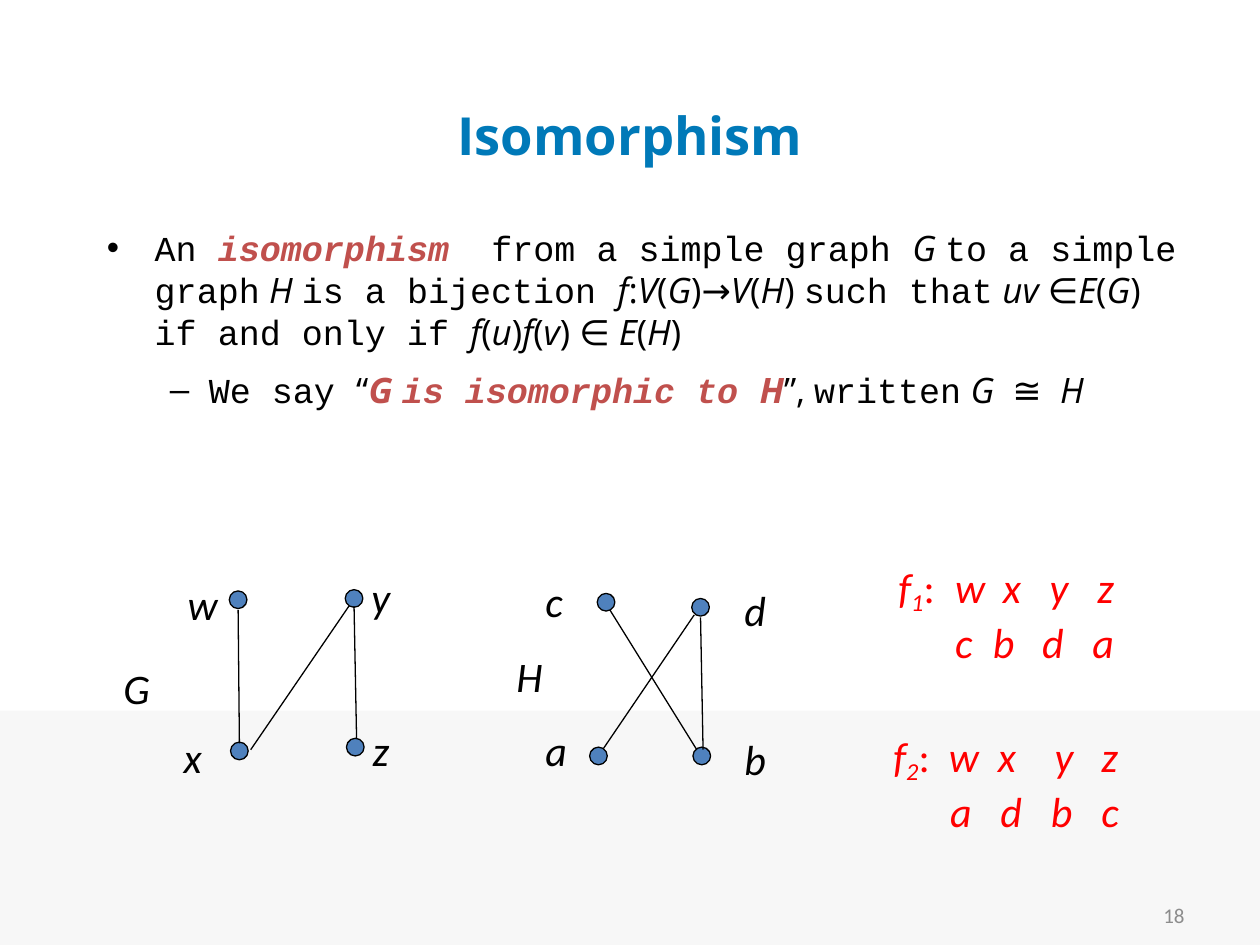
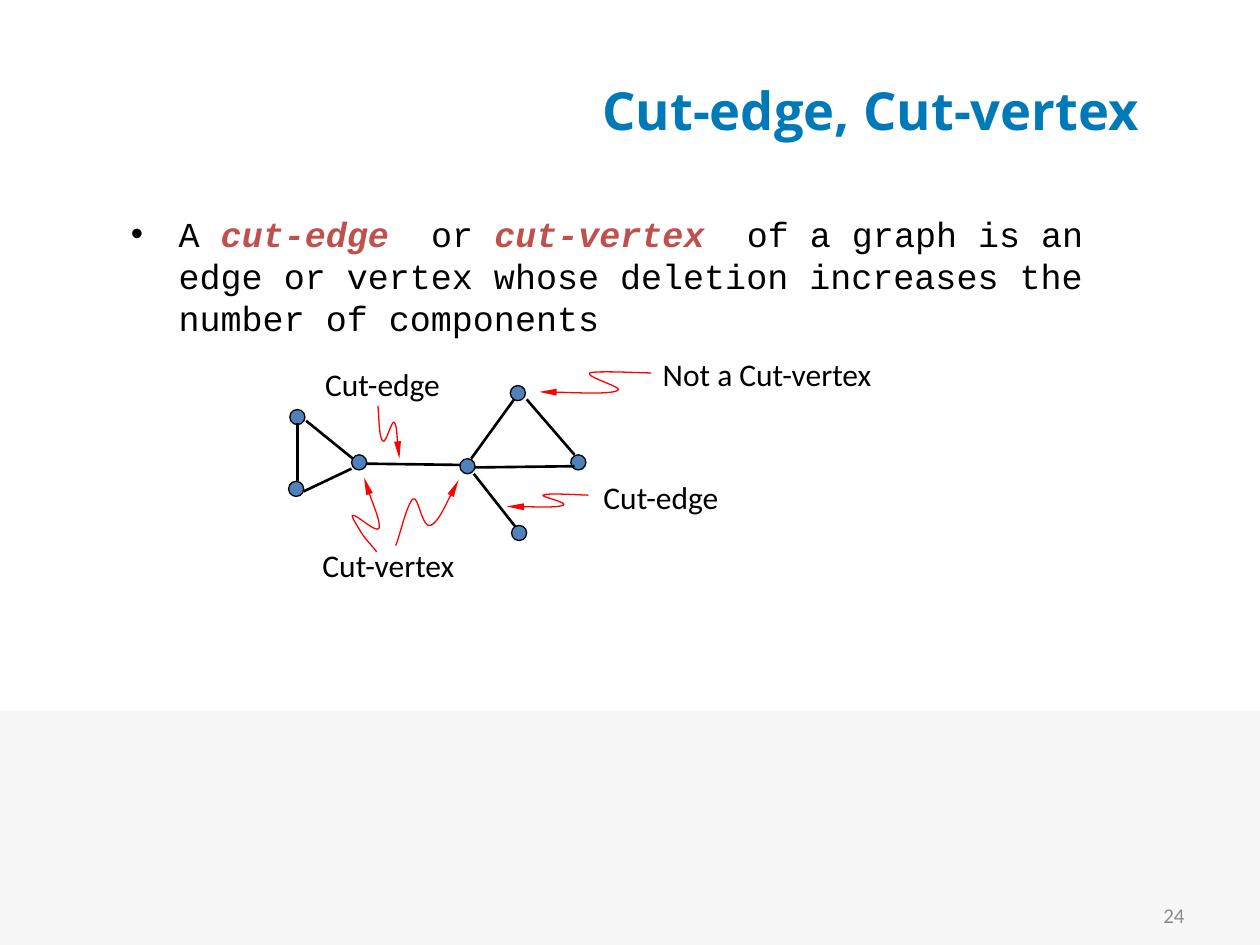
from itertools import groupby
from typing import NamedTuple, Optional

from lxml.etree import SubElement
from pptx import Presentation
from pptx.dml.color import RGBColor
from pptx.enum.shapes import MSO_CONNECTOR as Connector, MSO_SHAPE as Preset
from pptx.enum.text import MSO_ANCHOR as Anchor, PP_ALIGN as Align
from pptx.oxml.ns import qn
from pptx.util import Inches, Pt

# Shared colours and fonts
BLACK = RGBColor(0x00, 0x00, 0x00)
RED = RGBColor(0xFF, 0x00, 0x00)
TERM_RED = RGBColor(0xC0, 0x50, 0x4D)
TITLE_BLUE = RGBColor(0x00, 0x79, 0xB8)
VERTEX_BLUE = RGBColor(0x4F, 0x81, 0xBD)
BAND_GREY = RGBColor(0xF7, 0xF7, 0xF7)
NUMBER_GREY = RGBColor(0x8C, 0x8C, 0x8C)
SANS, MONO, LABEL_FONT, BULLET_FONT = "Open Sans", "Courier New", "Calibri", "Arial"

Point = tuple[float, float]


class Area(NamedTuple):
    left: float
    top: float
    width: float
    height: float

    def lengths(self) -> list:
        return [Inches(value) for value in self]


class Span(NamedTuple):
    text: str
    font: str = MONO
    color: RGBColor = BLACK
    bold: bool = False
    italic: bool = False


class Bullet(NamedTuple):
    spans: list[Span]
    level: int = 0


class BulletStyle(NamedTuple):
    symbol: str
    margin: float
    hanging: float


class Label(NamedTuple):
    text: str
    area: Area


class Edge(NamedTuple):
    start: Point
    end: Point


class Mapping(NamedTuple):
    index: str
    area: Area
    sources: str
    source_tabs: list[float]
    targets: str
    target_tabs: list[float]


BULLET_STYLES = [BulletStyle("•", 0.38, 0.38), BulletStyle("–", 0.81, 0.31)]


def term(text: str, font: str = MONO) -> Span:
    return Span(text, font, TERM_RED, True, True)


def formula(text: str) -> list[Span]:
    """Letters are italic, symbols upright."""
    return [Span("".join(part), SANS, italic=letters)
            for letters, part in groupby(text, str.isalpha)]


def set_font(font, name: str, size: float, color: RGBColor,
             bold: bool = False, italic: bool = False) -> None:
    font.name, font.size, font.bold, font.italic = name, Pt(size), bold, italic
    font.color.rgb = color


def add_text_box(page, area: Area, side: float = 0.1, top: float = 0.05):
    box = page.shapes.add_textbox(*area.lengths())
    frame = box.text_frame
    frame.word_wrap = True
    frame.margin_left = frame.margin_right = Inches(side)
    frame.margin_top = frame.margin_bottom = Inches(top)
    return frame


def add_page(deck, title: str, title_area: Area, align: Align, number: str):
    page = deck.slides.add_slide(deck.slide_layouts[5])
    # Grey band
    band = page.shapes.add_shape(Preset.RECTANGLE, *Area(0, 5.64, 10, 1.86).lengths())
    band.shadow.inherit = False
    band.fill.solid()
    band.fill.fore_color.rgb = BAND_GREY
    band.line.fill.background()
    # Slide number
    frame = add_text_box(page, Area(7.17, 7.06, 2.33, 0.4))
    frame.vertical_anchor = Anchor.MIDDLE
    para = frame.paragraphs[0]
    para.text, para.alignment = number, Align.RIGHT
    set_font(para.font, LABEL_FONT, 12, NUMBER_GREY)
    # Title
    heading = page.shapes.title
    heading.left, heading.top, heading.width, heading.height = title_area.lengths()
    heading.text_frame.vertical_anchor = Anchor.MIDDLE
    para = heading.text_frame.paragraphs[0]
    para.text, para.alignment = title, align
    set_font(para.font, SANS, 30, TITLE_BLUE, bold=True)
    return page


def add_bullets(page, area: Area, bullets: list[Bullet]) -> None:
    frame = add_text_box(page, area)
    for position, bullet in enumerate(bullets):
        para = frame.add_paragraph() if position else frame.paragraphs[0]
        if position:
            para.space_before = Pt(9)
        para.line_spacing = Pt(24)
        para.level = bullet.level
        style = BULLET_STYLES[bullet.level]
        props = para._p.get_or_add_pPr()
        props.set("marL", str(Inches(style.margin)))
        props.set("indent", str(-Inches(style.hanging)))
        SubElement(props, qn("a:buFont"), typeface=BULLET_FONT)
        SubElement(props, qn("a:buChar"), char=style.symbol)
        for span in bullet.spans:
            run = para.add_run()
            run.text = span.text
            set_font(run.font, span.font, 20, span.color, span.bold, span.italic)


def add_label(page, label: Label, size: float, italic: bool, side: float, top: float) -> None:
    para = add_text_box(page, label.area, side, top).paragraphs[0]
    para.text = label.text
    set_font(para.font, LABEL_FONT, size, BLACK, italic=italic)


def add_vertex(page, corner: Point, size: float) -> None:
    dot = page.shapes.add_shape(Preset.OVAL, *Area(*corner, size, size).lengths())
    dot.shadow.inherit = False
    dot.fill.solid()
    dot.fill.fore_color.rgb = VERTEX_BLUE
    dot.line.color.rgb = BLACK
    dot.line.width = Pt(0.75)


def add_edge(page, edge: Edge, width: float) -> None:
    ends = [Inches(value) for value in (*edge.start, *edge.end)]
    line = page.shapes.add_connector(Connector.STRAIGHT, *ends)
    line.line.color.rgb = BLACK
    line.line.width = Pt(width)
    SubElement(line._element.spPr, qn("a:effectLst"))


def add_graph(page, vertices: list[Point], size: float,
              edges: list[Edge], width: float) -> None:
    for corner in vertices:
        add_vertex(page, corner, size)
    for edge in edges:
        add_edge(page, edge, width)


def add_squiggle(page, controls: list[Point]) -> None:
    """Arrow along a chain of cubic curves that share their ends."""
    start, *rest = [(Inches(x), Inches(y)) for x, y in controls]
    builder = page.shapes.build_freeform(*start)
    builder.add_line_segments(rest, close=False)
    arrow = builder.convert_to_shape()
    # Turn every three straight steps into one cubic curve
    outline = next(arrow._element.iter(qn("a:path")))
    steps = outline.findall(qn("a:lnTo"))
    for first in range(0, len(steps), 3):
        curve = SubElement(outline, qn("a:cubicBezTo"))
        for step in steps[first:first + 3]:
            curve.append(step[0])
            outline.remove(step)
    arrow.shadow.inherit = False
    arrow.fill.background()
    arrow.line.color.rgb = RED
    arrow.line.width = Pt(0.75)
    SubElement(arrow.line._get_or_add_ln(), qn("a:tailEnd"), type="triangle", w="sm", len="lg")


def add_mapping(page, mapping: Mapping) -> None:
    frame = add_text_box(page, mapping.area)
    frame.margin_left = Inches(0.17)

    def add_row(para, tabs: list[float], spans: list[tuple[str, Optional[str], bool]]) -> None:
        stops = SubElement(para._p.get_or_add_pPr(), qn("a:tabLst"))
        for tab in tabs:
            SubElement(stops, qn("a:tab"), pos=str(Inches(tab)), algn="l")
        for text, baseline, italic in spans:
            run = para.add_run()
            run.text = text
            run.font.italic = italic
            if baseline:
                run.font._element.set("baseline", baseline)
        set_font(para.font, LABEL_FONT, 24, RED)

    def columns(letters: str) -> str:
        return "".join("\t" + letter for letter in letters)

    add_row(frame.paragraphs[0], mapping.source_tabs,
            [("f", None, True), (mapping.index, "-18000", True), (":", None, False),
             (columns(mapping.sources), None, True)])
    add_row(frame.add_paragraph(), mapping.target_tabs,
            [(columns(mapping.targets), None, True)])


def build_isomorphism(deck) -> None:
    page = add_page(deck, "Isomorphism", Area(0.75, 0.58, 8.5, 0.98), Align.CENTER, "18")
    add_bullets(page, Area(0.75, 1.75, 8.74, 4.91), [
        Bullet([Span("An "), term("isomorphism"), Span("  from a simple graph "),
                *formula("G "), Span("to a simple graph"), *formula(" H "),
                Span("is a bijection "), *formula("f:V(G)→V(H) "), Span("such that"),
                *formula(" uv ∈E(G) "), Span("if and only if "), *formula("f(u)f(v) ∈ E(H)")]),
        Bullet([Span("We say "), Span("“", SANS), term("G ", SANS),
                term("is isomorphic to "), term("H", SANS), Span("”, ", SANS),
                Span("written"), *formula(" G  ≅  H")], level=1)])

    # Graphs G and H
    add_graph(page, [(1.82, 4.69), (1.83, 5.89), (2.74, 4.68), (2.75, 5.86)], 0.14,
              [Edge((2.81, 4.81), (2.83, 5.86)), Edge((1.89, 4.84), (1.9, 5.9)),
               Edge((1.99, 5.95), (2.77, 4.81))], 0.75)
    add_graph(page, [(4.74, 4.71), (5.49, 4.75), (4.68, 5.93), (5.5, 5.93)], 0.14,
              [Edge((5.56, 4.9), (5.58, 5.95)), Edge((4.84, 4.84), (5.53, 5.95)),
               Edge((4.79, 5.94), (5.51, 4.88))], 0.75)
    corners = {"H": (4, 5.11), "G": (0.88, 5.21), "w": (1.39, 4.54), "x": (1.36, 5.76),
               "z": (2.86, 5.7), "y": (2.85, 4.49), "c": (4.23, 4.52), "d": (5.81, 4.59),
               "b": (5.81, 5.77), "a": (4.23, 5.7)}
    for name, corner in corners.items():
        width = 0.68 if name.isupper() else 0.47
        add_label(page, Label(name, Area(*corner, width, 0.51)), 24, True, 0.1, 0.05)

    # The two bijections
    for mapping in (
            Mapping("1", Area(6.96, 4.41, 2.21, 0.91), "wxyz", [0.45, 0.83, 1.2, 1.58],
                    "cbda", [0.45, 0.75, 1.14, 1.54]),
            Mapping("2", Area(6.92, 5.75, 2.35, 0.91), "wxyz", [0.44, 0.83, 1.28, 1.65],
                    "adbc", [0.45, 0.85, 1.25, 1.65])):
        add_mapping(page, mapping)


def build_cuts(deck) -> None:
    page = add_page(deck, "Cut-edge, Cut-vertex ", Area(0.75, 0.33, 8.5, 1.08),
                    Align.RIGHT, "24")
    add_bullets(page, Area(0.94, 1.64, 8.26, 1.91), [
        Bullet([Span("A "), term("cut-edge"), Span("  or "), term("cut-vertex  "),
                Span("of a graph is an edge or vertex whose deletion increases "
                     "the number of components")])])

    # Graph
    add_graph(page, [(2.3, 3.25), (2.29, 3.82), (2.79, 3.61), (3.65, 3.64),
                     (4.05, 3.06), (4.53, 3.61), (4.06, 4.17)], 0.12,
              [Edge((2.36, 3.36), (2.36, 3.82)), Edge((2.43, 3.34), (2.8, 3.64)),
               Edge((2.41, 3.9), (2.79, 3.72)), Edge((2.91, 3.68), (3.65, 3.69)),
               Edge((4.08, 3.17), (3.74, 3.64)), Edge((3.76, 3.76), (4.09, 4.18)),
               Edge((4.18, 3.17), (4.56, 3.61)), Edge((3.77, 3.71), (4.56, 3.7))], 1.5)

    # Callouts and their wavy arrows
    for label in (Label("Not a Cut-vertex", Area(5.15, 2.76, 2.05, 0.41)),
                  Label("Cut-edge", Area(2.47, 2.84, 1.57, 0.41)),
                  Label("Cut-edge", Area(4.68, 3.73, 1.57, 0.41)),
                  Label("Cut-vertex", Area(2.45, 4.27, 1.57, 0.41))):
        add_label(page, label, 18, False, 0.11, 0.06)
    for controls in (
            [(3, 3.22), (3.01, 3.35), (3.01, 3.48), (3.04, 3.5), (3.06, 3.53),
             (3.11, 3.33), (3.13, 3.35), (3.15, 3.38), (3.16, 3.59), (3.17, 3.64)],
            [(4.67, 3.93), (4.61, 3.93), (4.34, 3.91), (4.31, 3.93), (4.28, 3.94),
             (4.52, 3.99), (4.47, 4.01), (4.42, 4.03), (4.11, 4.02), (4.02, 4.02)],
            [(2.99, 4.38), (2.97, 4.35), (2.9, 4.28), (2.87, 4.23), (2.84, 4.18),
             (2.78, 4.09), (2.8, 4.09), (2.83, 4.08), (2.99, 4.24), (3.01, 4.19),
             (3.02, 4.14), (2.91, 3.87), (2.89, 3.79)],
            [(3.14, 4.33), (3.17, 4.27), (3.23, 3.99), (3.28, 3.96), (3.32, 3.93),
             (3.35, 4.2), (3.42, 4.17), (3.48, 4.14), (3.6, 3.88), (3.64, 3.81)],
            [(5.17, 2.96), (5.09, 2.96), (4.73, 2.94), (4.68, 2.96), (4.64, 2.99),
             (4.97, 3.08), (4.9, 3.1), (4.84, 3.13), (4.41, 3.11), (4.28, 3.11)]):
        add_squiggle(page, controls)


def main() -> None:
    deck = Presentation()
    deck.slide_width, deck.slide_height = Inches(10), Inches(7.5)
    build_isomorphism(deck)
    build_cuts(deck)
    deck.save("out.pptx")


if __name__ == "__main__":
    main()
